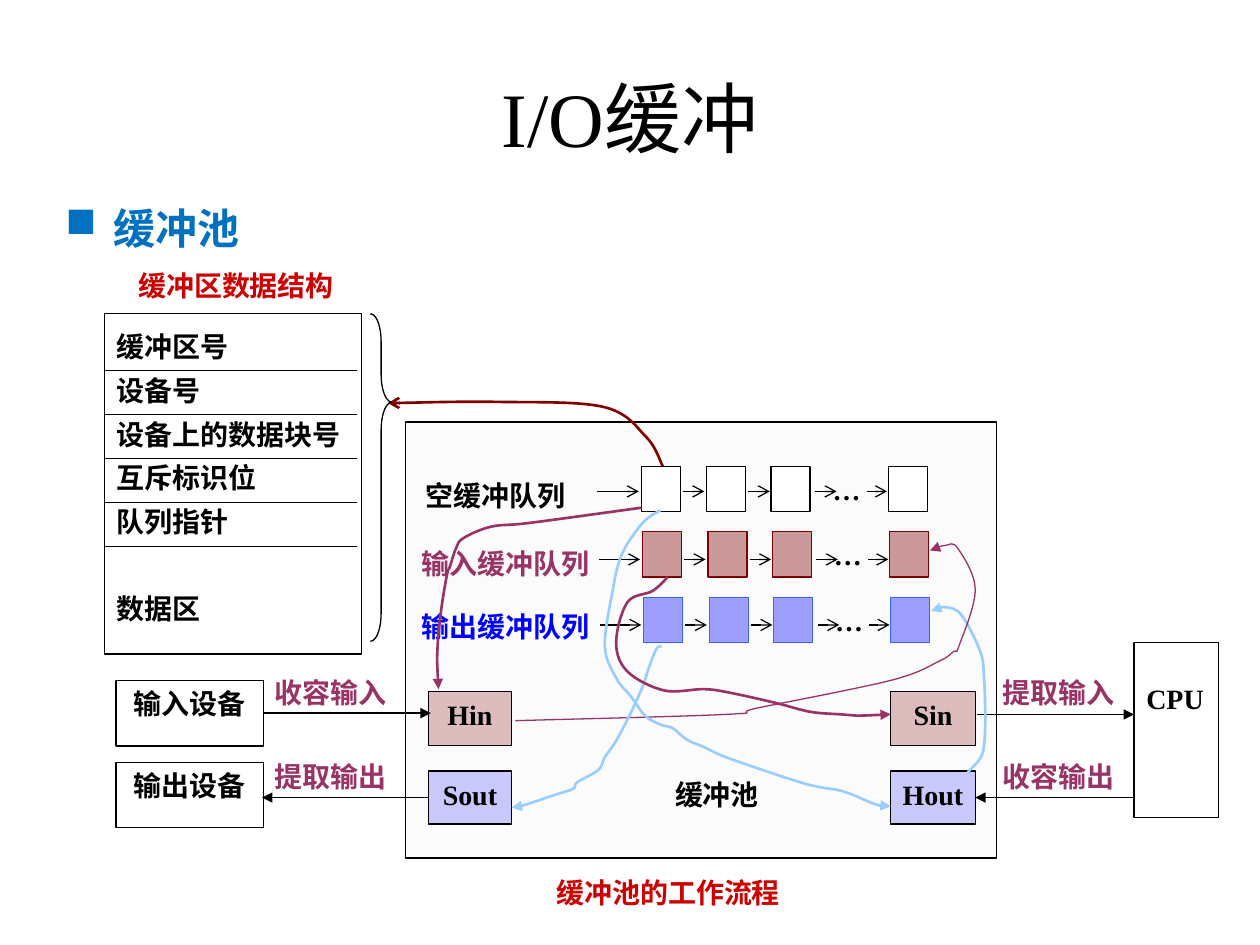
"""Build the slide on the I/O buffer pool and its workflow."""
from lxml import etree
from pptx import Presentation
from pptx.dml.color import RGBColor
from pptx.enum.shapes import MSO_CONNECTOR, MSO_SHAPE
from pptx.enum.text import MSO_ANCHOR, PP_ALIGN
from pptx.oxml.ns import qn
from pptx.util import Cm, Pt

RECT, BRACE = MSO_SHAPE.RECTANGLE, MSO_SHAPE.RIGHT_BRACE
STRAIGHT = MSO_CONNECTOR.STRAIGHT
TOP, MIDDLE = MSO_ANCHOR.TOP, MSO_ANCHOR.MIDDLE
CENTER, JUSTIFY, LEFT = PP_ALIGN.CENTER, PP_ALIGN.JUSTIFY, PP_ALIGN.LEFT

BLACK = RGBColor(0, 0, 0)
WHITE = RGBColor(255, 255, 255)
GRAY = RGBColor(0xC0, 0xC0, 0xC0)
RED = RGBColor(0xCC, 0, 0)
MAROON = RGBColor(0x80, 0, 0)
PLUM = RGBColor(0x99, 0x33, 0x66)
BLUE = RGBColor(0, 0, 0xFF)
EDGE_BLUE = RGBColor(0x33, 0x66, 0xFF)
SKY = RGBColor(0x99, 0xCC, 0xFF)
HEADING_BLUE = RGBColor(0, 0x70, 0xC0)

TITLE = "I/O缓冲"
HEADING = "缓冲池"
FIELDS = ["缓冲区号", "设备号", "设备上的数据块号", "互斥标识位", "队列指针", "数据区"]
LABELS = [
    ("缓冲池的工作流程", (4.32, 6.9, 2.43, 0.52), RED),
    ("缓冲区数据结构", (1, 2.08, 1.83, 0.52), RED),
    ("缓冲池", (5.26, 6.12, 1.14, 0.52), BLACK),
    ("收容输入", (2.08, 5.31, 1.14, 0.52), PLUM),
    ("提取输出", (2.08, 5.98, 1.14, 0.52), PLUM),
    ("提取输入", (7.86, 5.31, 1.14, 0.52), PLUM),
    ("收容输出", (7.86, 5.98, 1.14, 0.52), PLUM),
]
BLOCKS = [
    ("输入设备", (0.92, 5.4, 1.17, 0.52), WHITE, 100),
    ("输出设备", (0.92, 6.05, 1.17, 0.52), WHITE, 100),
    ("Hin", (3.4, 5.49, 0.66, 0.43), MAROON, 25),
    ("Sout", (3.4, 6.12, 0.66, 0.42), BLUE, 20),
    ("Sin", (7.07, 5.49, 0.67, 0.43), MAROON, 25),
    ("Hout", (7.07, 6.12, 0.67, 0.42), BLUE, 20),
]
FLOWS = [
    ((2.09, 5.66), (3.42, 5.66), "输入设备", None),
    ((3.4, 6.33), (2.08, 6.33), "Sout", None),
    ((7.75, 5.67), (9, 5.67), None, None),
    ((9, 6.33), (7.74, 6.33), None, "Hout"),
]
QUEUES = [
    ("空缓冲队列", (3.28, 3.75), BLACK, WHITE, 100, BLACK, 0, 3.9),
    ("输入缓冲队列", (3.25, 4.29), PLUM, MAROON, 39, MAROON, 0.01, 4.44),
    ("输出缓冲队列", (3.25, 4.79), BLUE, BLUE, 37, EDGE_BLUE, 0.02, 4.96),
]
QUEUE_TOP, QUEUE_STEP = 3.7, 0.52
BUFFER_LEFTS = [5.09, 5.61, 6.12, 7.05]
LINKS = [(4.74, 5.07), (5.42, 5.59), (5.94, 6.11), (6.47, 6.64), (6.88, 7.04)]
CURVES = [
    (PLUM, 1.5, "triangle", [
        (5.09, 4.03), (4.21, 4.15), (3.9, 4.18), (3.68, 4.27), (3.62, 4.35),
        (3.57, 4.5), (3.55, 4.55), (3.51, 4.78), (3.48, 5.03), (3.47, 5.2),
        (3.47, 5.27), (3.48, 5.47)]),
    (SKY, 1.5, "triangle", [
        (7.68, 6.13), (7.78, 6.02), (7.81, 5.92), (7.82, 5.75), (7.82, 5.65),
        (7.81, 5.37), (7.78, 5.17), (7.63, 4.88), (7.5, 4.82), (7.39, 4.85)]),
    (PLUM, 0.75, "triangle", [
        (4.09, 5.72), (5.77, 5.67), (6.01, 5.62), (7.07, 5.4), (7.45, 5.25),
        (7.57, 5.17), (7.61, 5.13), (7.74, 4.68), (7.6, 4.35), (7.5, 4.33),
        (7.38, 4.37)]),
    (SKY, 1.5, "triangle", [
        (5.25, 5.13), (5.21, 5.15), (5.15, 5.3), (5.1, 5.45), (5.01, 5.65),
        (4.89, 5.88), (4.8, 6.01), (4.75, 6.11), (4.58, 6.21), (4.55, 6.26),
        (4.4, 6.31), (4.13, 6.4), (4.06, 6.41)]),
    (PLUM, 1.5, "triangle", [
        (5.3, 4.58), (5.18, 4.69), (4.98, 4.78), (4.89, 5.1), (4.98, 5.33),
        (5.27, 5.48), (5.59, 5.47), (5.8, 5.5), (6.16, 5.58), (6.43, 5.65),
        (6.67, 5.67), (6.8, 5.68), (7.07, 5.67)]),
    (SKY, 1.5, "triangle", [
        (5.24, 4.05), (5.12, 4.13), (5.01, 4.27), (4.95, 4.37), (4.91, 4.47),
        (4.87, 4.65), (4.8, 5.12), (4.89, 5.38), (5.01, 5.53), (5.12, 5.68),
        (5.24, 5.75), (5.34, 5.78), (5.45, 5.87), (5.59, 5.93), (5.79, 6.02),
        (6.39, 6.22), (6.69, 6.28), (6.94, 6.38), (7.07, 6.4)]),
    (MAROON, 1.5, "arrow", [
        (5.26, 3.7), (5.13, 3.47), (4.79, 3.23), (3.94, 3.19), (3.08, 3.2)]),
]


def inches(value):
    return Cm(value * 2.54)


def apply(target, values):
    for name, value in values.items():
        setattr(target, name, value)


def write(shape, lines, color=BLACK, size=16, bold=True, align=JUSTIFY, spacing=None, **frame_format):
    frame = shape.text_frame
    apply(frame, {"word_wrap": True, "vertical_anchor": TOP, **frame_format})
    for index, line in enumerate(lines):
        paragraph = frame.paragraphs[0] if index == 0 else frame.add_paragraph()
        apply(paragraph, {"alignment": align, "line_spacing": spacing})
        run = paragraph.add_run()
        run.text = line
        apply(run.font, {"name": "Times New Roman", "size": Pt(size), "bold": bold})
        run.font.color.rgb = color
    return frame


def add_label(slide, text, place, color, **text_format):
    box = slide.shapes.add_textbox(*map(inches, place))
    return write(box, [text], color, **text_format)


def stroke(shape, color=BLACK, width=0.75, head=None):
    shape.line.color.rgb = color
    shape.line.width = Pt(width)
    if head:
        outline = shape._element.spPr.find(qn("a:ln"))
        etree.SubElement(outline, qn("a:tailEnd"), type=head)


def add_box(slide, place, fill=WHITE, opacity=100, edge=BLACK):
    box = slide.shapes.add_shape(RECT, *map(inches, place))
    box.shadow.inherit = False
    box.fill.solid()
    box.fill.fore_color.rgb = fill
    if opacity < 100:
        tint = box._element.spPr.find(qn("a:solidFill")).find(qn("a:srgbClr"))
        etree.SubElement(tint, qn("a:alpha"), val=str(opacity * 1000))
    stroke(box, edge)
    return box


def add_line(slide, start, end, head=None):
    line = slide.shapes.add_connector(STRAIGHT, *map(inches, start + end))
    stroke(line, head=head)
    etree.SubElement(line._element.spPr, qn("a:effectLst"))
    return line


def add_curve(slide, color, width, head, knots):
    padded = [knots[0], *knots, knots[-1]]
    controls = []
    for before, start, end, after in zip(padded, padded[1:], padded[2:], padded[3:]):
        controls.append([s + (e - b) / 6 for b, s, e in zip(before, start, end)])
        controls.append([e - (a - s) / 6 for s, e, a in zip(start, end, after)])
        controls.append(end)
    builder = slide.shapes.build_freeform(*map(inches, knots[0]))
    builder.add_line_segments([tuple(map(inches, point)) for point in controls], close=False)
    curve = builder.convert_to_shape()
    segments = list(curve._element.iter(qn("a:lnTo")))
    for first, second, third in zip(segments[::3], segments[1::3], segments[2::3]):
        bezier = etree.Element(qn("a:cubicBezTo"))
        first.addprevious(bezier)
        for segment in (first, second, third):
            bezier.append(segment[0])
            segment.getparent().remove(segment)
    curve.shadow.inherit = False
    curve.fill.background()
    stroke(curve, color, width, head)


def add_queue(slide, row, queue):
    name, (label_left, label_top), color, fill, opacity, edge, shift, link_y = queue
    top = QUEUE_TOP + row * QUEUE_STEP
    for left in BUFFER_LEFTS:
        add_box(slide, (left + shift, top, 0.31, 0.36), fill, opacity, edge)
    add_label(slide, "…", (6.51 + shift, top, 0.49, 0.43), BLACK)
    for start, end in LINKS:
        add_line(slide, (start + shift, link_y), (end + shift, link_y), "arrow")
    add_label(slide, name, (label_left, label_top, 1.64, 0.52), color)


def add_structure(slide):
    brace = slide.shapes.add_shape(BRACE, *map(inches, (2.94, 2.49, 0.17, 2.6)))
    brace.shadow.inherit = False
    brace.fill.background()
    brace.adjustments[0], brace.adjustments[1] = 1.3, 0.27
    stroke(brace)
    frame = write(add_box(slide, (0.83, 2.49, 2.04, 2.7)), FIELDS, spacing=1.3)
    frame.paragraphs[-1].space_before = Pt(25)
    for row in range(len(FIELDS) - 1):
        y = 2.94 + row * 0.35
        add_line(slide, (0.83, y), (2.83, y))


def main():
    deck = Presentation()
    deck.slide_width, deck.slide_height = inches(10), inches(7.5)
    slide = deck.slides.add_slide(deck.slide_layouts[5])
    title = slide.shapes.title
    apply(title, dict(zip(("left", "top", "width", "height"), map(inches, (0.5, 0.3, 9, 1.25)))))
    write(title, [TITLE], size=44, bold=False, align=CENTER, vertical_anchor=MIDDLE)

    heading = add_label(slide, HEADING, (0.42, 1.36, 9.1, 0.7), HEADING_BLUE, size=24, align=LEFT, spacing=1.5)
    bullet = heading.paragraphs[0]._p.get_or_add_pPr()
    bullet.set("marL", str(inches(0.38)))
    bullet.set("indent", str(-inches(0.38)))
    etree.SubElement(bullet, qn("a:buChar"), char="■")

    add_box(slide, (3.22, 3.35, 4.69, 3.46), GRAY, 5)
    blocks = {}
    for name, place, fill, opacity in BLOCKS:
        blocks[name] = add_box(slide, place, fill, opacity)
        write(blocks[name], [name], align=CENTER, margin_left=0, margin_right=0)
    write(add_box(slide, (9, 5.1, 0.67, 1.39)), ["CPU"], margin_top=inches(0.31))
    for start, end, source, target in FLOWS:
        flow = add_line(slide, start, end, "triangle")
        if source:
            flow.begin_connect(blocks[source], 1 if end < start else 3)
        if target:
            flow.end_connect(blocks[target], 3 if end < start else 1)
    for label in LABELS:
        add_label(slide, *label)
    for row, queue in enumerate(QUEUES):
        add_queue(slide, row, queue)
    for curve in CURVES:
        add_curve(slide, *curve)
    add_structure(slide)
    deck.save("out.pptx")


if __name__ == "__main__":
    main()
